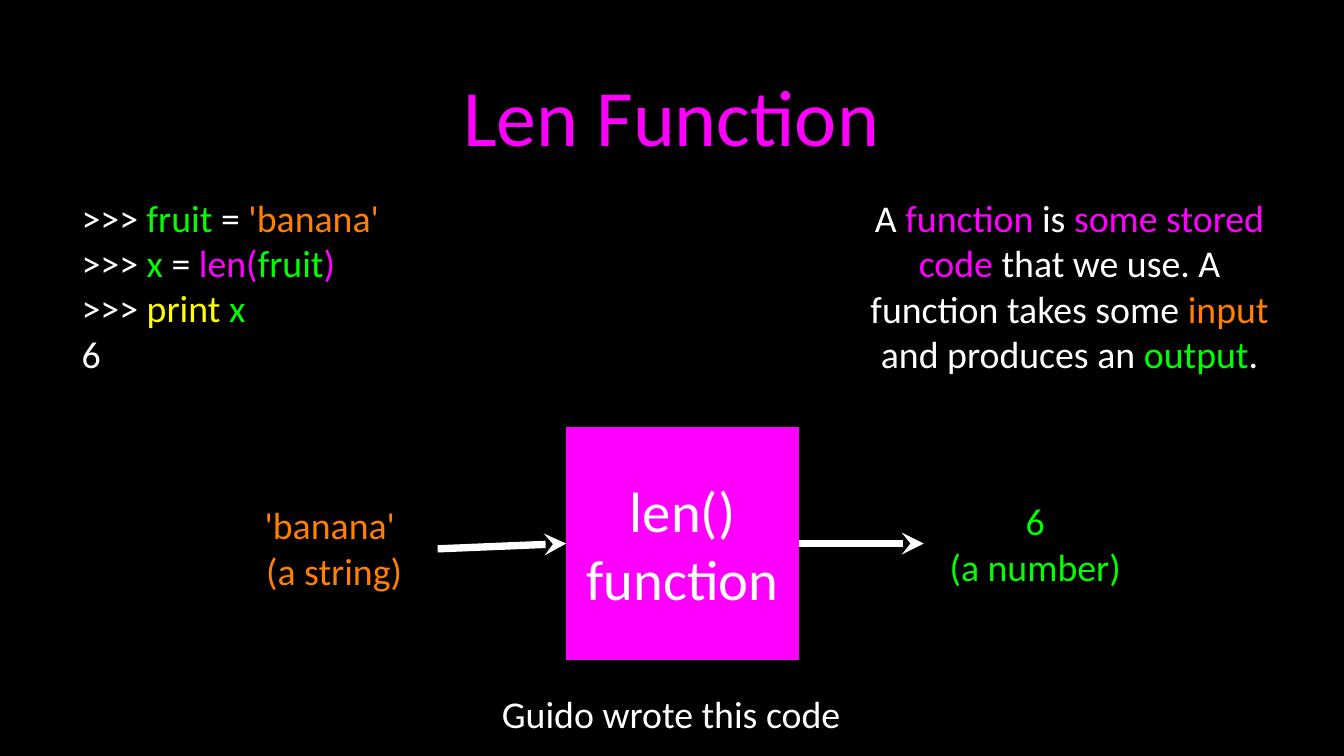
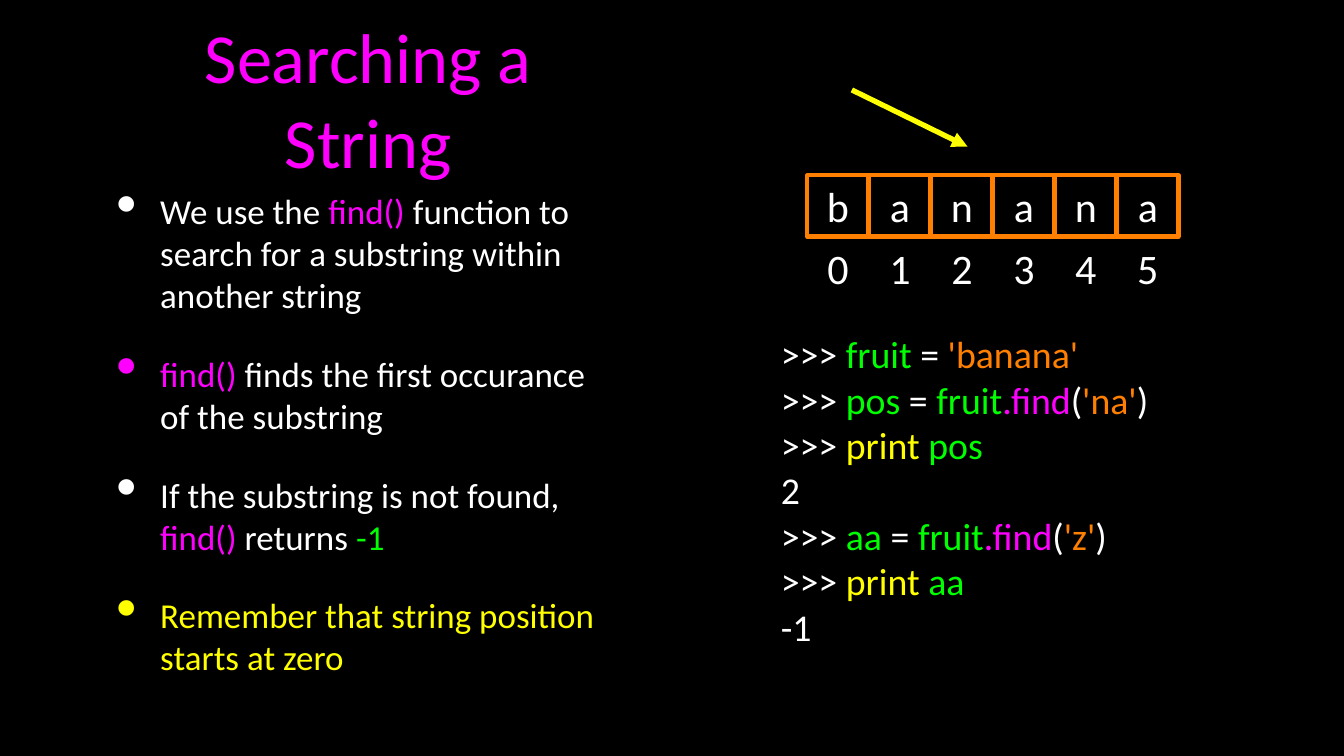
from lxml import etree
from pptx import Presentation
from pptx.dml.color import RGBColor
from pptx.enum.shapes import MSO_CONNECTOR, MSO_SHAPE
from pptx.enum.text import MSO_ANCHOR, PP_ALIGN
from pptx.oxml.ns import qn
from pptx.util import Inches, Pt

LEFT, CENTER = PP_ALIGN.LEFT, PP_ALIGN.CENTER
MIDDLE = MSO_ANCHOR.MIDDLE
RECTANGLE = MSO_SHAPE.RECTANGLE
STRAIGHT = MSO_CONNECTOR.STRAIGHT

BLACK = RGBColor(0x00, 0x00, 0x00)
WHITE = RGBColor(0xFF, 0xFF, 0xFF)
MAGENTA = RGBColor(0xFF, 0x00, 0xFF)
GREEN = RGBColor(0x00, 0xFF, 0x00)
ORANGE = RGBColor(0xFF, 0x7F, 0x00)
YELLOW = RGBColor(0xFF, 0xFF, 0x00)

FONT = "Calibri"
BODY_SIZE = 36
PROMPT = (">>> ", WHITE)
PRINT = ("print ", YELLOW)
ASSIGN_FRUIT = [PROMPT, ("fruit ", GREEN), ("= ", WHITE), ("'banana'", ORANGE)]


def write(shape, lines, size=BODY_SIZE, align=CENTER, margin=0, bulleted=False):
    """Fill a shape with lines, each a list of (text, colour) runs."""
    frame = shape.text_frame
    frame.word_wrap = True
    frame.vertical_anchor = MIDDLE
    frame.margin_left = frame.margin_right = Inches(margin)
    frame.margin_top = frame.margin_bottom = Inches(margin)
    for index, line in enumerate(lines):
        paragraph = frame.paragraphs[0] if index == 0 else frame.add_paragraph()
        paragraph.alignment = align
        line_color = line[0][1]
        if bulleted:
            bullet_color = WHITE if index == 0 else line_color
            props = paragraph._p.get_or_add_pPr()
            props.set("marL", str(Inches(0.82)))
            props.set("indent", str(Inches(-0.58)))
            color = etree.SubElement(props, qn("a:buClr"))
            etree.SubElement(color, qn("a:srgbClr"), val=str(bullet_color))
            etree.SubElement(props, qn("a:buSzPct"), val="171000")
            etree.SubElement(props, qn("a:buChar"), char="•")
            if index:
                paragraph.space_before = Pt(35)
        paragraph.font.name = FONT
        paragraph.font.size = Pt(size)
        paragraph.font.color.rgb = line_color
        for text, run_color in line:
            run = paragraph.add_run()
            run.text = text
            if run_color != line_color:
                run.font.color.rgb = run_color


def add_arrow(slide, start, end, color, width, head):
    arrow = slide.shapes.add_connector(STRAIGHT, *map(Inches, start + end))
    arrow.line.color.rgb = color
    arrow.line.width = Pt(width)
    etree.SubElement(arrow.line._get_or_add_ln(), qn("a:tailEnd"), type=head)
    etree.SubElement(arrow._element.spPr, qn("a:effectLst"))
    return arrow


prs = Presentation()
prs.slide_width, prs.slide_height = Inches(17.78), Inches(10)

# Titles
slides = []
for title, place, size in [
    ("Len Function", (1.26, 0.26, 15.24, 2.51), 76),
    ("Searching a String", (1.5, 0.26, 6.74, 2.07), 67),
]:
    slide = prs.slides.add_slide(prs.slide_layouts[6])
    slide.background.fill.solid()
    slide.background.fill.fore_color.rgb = BLACK
    title_box = slide.shapes.add_textbox(*map(Inches, place))
    write(title_box, [[(title, MAGENTA)]], size, margin=0.04)
    slides.append(slide)
len_slide, find_slide = slides

# Len function: code, definition and labels around the function box
len_code = [
    ASSIGN_FRUIT,
    [PROMPT, ("x ", GREEN), ("= ", WHITE), ("len(", MAGENTA),
     ("fruit", GREEN), (")", MAGENTA)],
    [PROMPT, PRINT, ("x", GREEN)],
    [("6", WHITE)],
]
definition = [[
    ("A ", WHITE), ("function", MAGENTA), (" is ", WHITE),
    ("some stored code", MAGENTA),
    (" that we use. A function takes some ", WHITE), ("input", ORANGE),
    (" and produces an ", WHITE), ("output", GREEN), (".", WHITE),
]]
for place, lines, align in [
    ((1.08, 2.57, 4.52, 2.4), len_code, LEFT),
    ((11.45, 2.58, 5.4, 2.39), definition, CENTER),
    ((3.36, 6.64, 2.12, 1.2), [[("'banana' ", ORANGE)], [("(a string)", ORANGE)]], CENTER),
    ((12.4, 6.59, 2.59, 1.2), [[("6", GREEN)], [("(a number)", GREEN)]], CENTER),
    ((6.3, 9.14, 5.16, 0.6), [[("Guido wrote this code", WHITE)]], CENTER),
]:
    write(len_slide.shapes.add_textbox(*map(Inches, place)), lines, align=align)

function_box = len_slide.shapes.add_shape(
    RECTANGLE, Inches(7.49), Inches(5.65), Inches(3.08), Inches(3.08))
function_box.shadow.inherit = False
function_box.fill.solid()
function_box.fill.fore_color.rgb = MAGENTA
function_box.line.fill.background()
write(function_box, [[("len()", WHITE)], [("function", WHITE)]], 54)

input_arrow = add_arrow(len_slide, (5.79, 7.26), (7.49, 7.19), WHITE, 7, "stealth")
input_arrow.end_connect(function_box, 1)
output_arrow = add_arrow(len_slide, (10.57, 7.19), (12.22, 7.19), WHITE, 7, "stealth")
output_arrow.begin_connect(function_box, 3)

# Searching a string: explanation and code
find_points = [
    [("We use the", WHITE), (" find()", MAGENTA),
     (" function to search for a substring within another string", WHITE)],
    [("find()", MAGENTA), (" finds the first occurance of the substring", WHITE)],
    [("If the substring is not found, ", WHITE), ("find()", MAGENTA),
     (" returns ", WHITE), ("-1", GREEN)],
    [("Remember that string position starts at zero", YELLOW)],
]
points_box = find_slide.shapes.add_textbox(
    Inches(1.26), Inches(2.4), Inches(6.74), Inches(6.68))
write(points_box, find_points, 33.3, LEFT, margin=0.04, bulleted=True)

find_code = [ASSIGN_FRUIT]
for variable, target, result in [("pos", "'na'", "2"), ("aa", "'z'", "-1")]:
    find_code += [
        [PROMPT, (variable + " ", GREEN), ("= ", WHITE), ("fruit", GREEN),
         (".find", MAGENTA), ("(", WHITE), (target, ORANGE), (")", WHITE)],
        [PROMPT, PRINT, (variable, GREEN)],
        [(result, WHITE)],
    ]
code_box = find_slide.shapes.add_textbox(
    Inches(10.33), Inches(4.38), Inches(5.55), Inches(4.2))
write(code_box, find_code, align=LEFT)

# Letters of the string above their positions
add_arrow(find_slide, (11.27, 1.19), (12.8, 1.94), YELLOW, 5, "triangle")
CELL = Inches(0.81)
for position, letter in enumerate("banana"):
    left = Inches(10.68 + 0.82 * position)
    position_label = find_slide.shapes.add_textbox(left, Inches(3.13), CELL, CELL)
    write(position_label, [[(str(position), WHITE)]], 40)
    letter_cell = find_slide.shapes.add_shape(RECTANGLE, left, Inches(2.32), CELL, CELL)
    letter_cell.shadow.inherit = False
    letter_cell.fill.background()
    letter_cell.line.color.rgb = ORANGE
    letter_cell.line.width = Pt(4)
    write(letter_cell, [[(letter, WHITE)]], 40)

prs.save("out.pptx")
